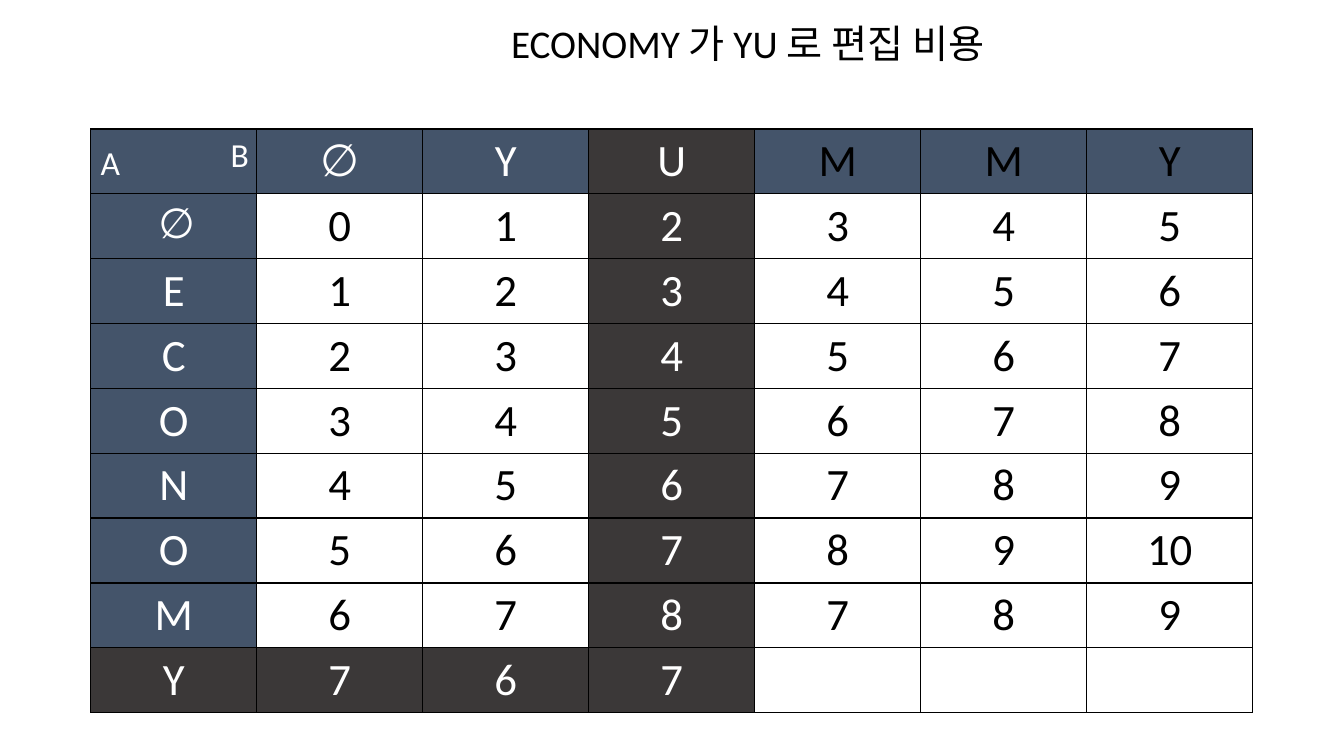
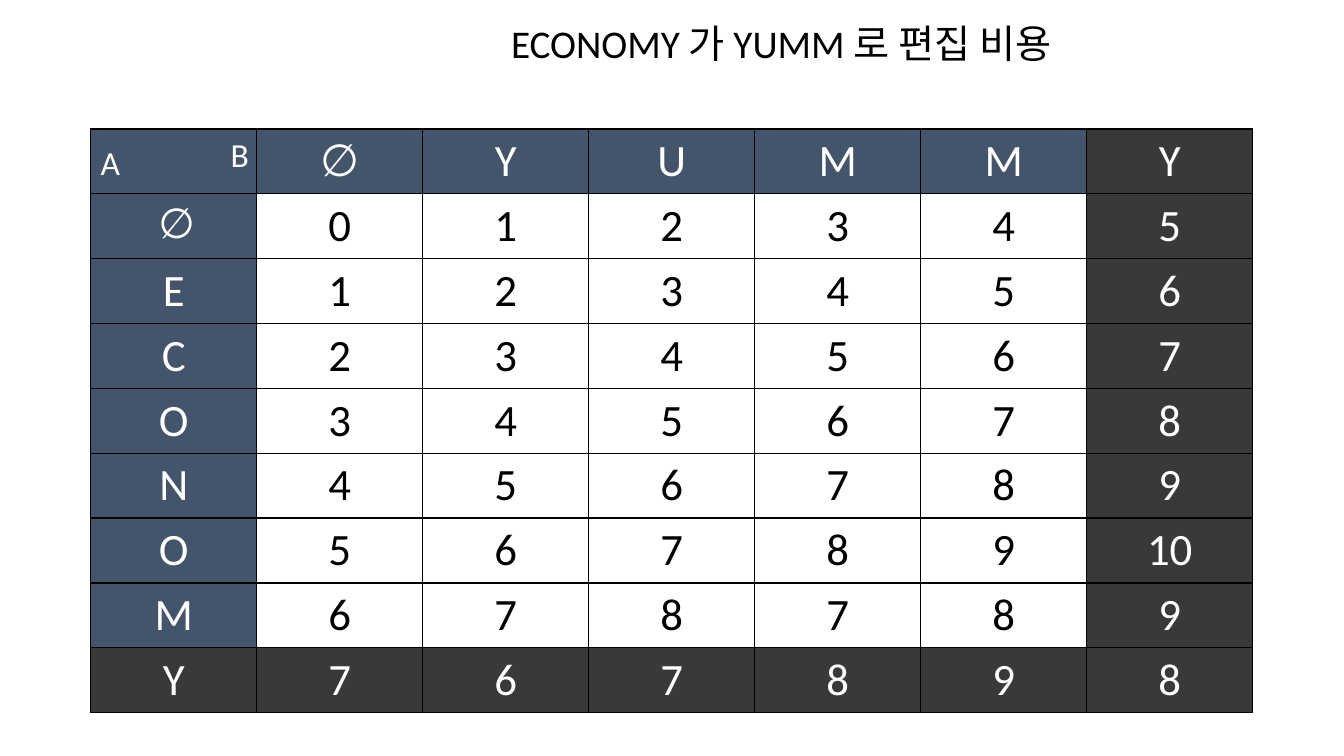
from dataclasses import dataclass

from lxml.etree import SubElement
from pptx import Presentation
from pptx.dml.color import RGBColor
from pptx.enum.text import MSO_ANCHOR as Anchor, MSO_AUTO_SIZE as AutoSize, PP_ALIGN as Align
from pptx.oxml.ns import qn
from pptx.util import Pt

COLOURS = {"header": "44546A", "path": "3B3838", "cell": "FFFFFF",
           "light": "FFFFFF", "dark": "000000", "border": "000000"}
FONT = "Calibri"
EMPTY = "∅"
SOURCE, TARGET = "ECONOMY", "YUMMY"
TABLE_LEFT, TABLE_TOP = 64.8, 92.16
COLUMN_WIDTH, ROW_HEIGHT = 118.6, 46.32
TITLE_LEFT, TITLE_TOP, TITLE_HEIGHT = 357.84, 10.08, 41.04


@dataclass(frozen=True)
class CostPage:
    title: str
    title_width: float
    current_column: int


@dataclass(frozen=True)
class AxisLabel:
    text: str
    left: float
    top: float
    width: float


PAGES = [
    CostPage("ECONOMY 가 YU 로 편집 비용", 370.08, 3),
    CostPage("ECONOMY 가 YUMM 로 편집 비용", 418.32, 6),
]
AXIS_LABELS = [
    AxisLabel("A", 64.8, 97.92, 28.8),
    AxisLabel("B", 157.68, 92.16, 27.36),
]


def edit_costs(source: str, target: str) -> list[list[int]]:
    """Insertions and deletions cost 1; a matching letter costs nothing."""
    costs = [list(range(len(target) + 1))]
    for letter in source:
        above = costs[-1]
        row = [above[0] + 1]
        for index, other in enumerate(target):
            row.append(above[index] if letter == other
                       else min(above[index + 1], row[index]) + 1)
        costs.append(row)
    return costs


def add_span(para, text: str, size: float, colour: str) -> None:
    span = para.add_run()
    span.text = text
    span.font.name = FONT
    span.font.size = Pt(size)
    span.font.color.rgb = RGBColor.from_string(COLOURS[colour])


def set_borders(cell) -> None:
    properties = cell._tc.get_or_add_tcPr()
    for position, side in enumerate(("lnL", "lnR", "lnT", "lnB")):
        line = SubElement(properties, qn(f"a:{side}"), w=str(Pt(1)))
        fill = SubElement(line, qn("a:solidFill"))
        SubElement(fill, qn("a:srgbClr"), val=COLOURS["border"])
        properties.insert(position, line)


def fill_cell(cell, text: str, size: float, fill: str, colour: str) -> None:
    set_borders(cell)
    cell.fill.solid()
    cell.fill.fore_color.rgb = RGBColor.from_string(COLOURS[fill])
    if text:
        para = cell.text_frame.paragraphs[0]
        para.alignment = Align.CENTER
        if size < 32:
            add_span(para, " ", 18, colour)
        add_span(para, text, size, colour)


def add_cost_table(page, current: int) -> None:
    """Show the costs, with the path down the current column and along the last row."""
    costs = edit_costs(SOURCE, TARGET)
    grid = [["", EMPTY, *TARGET]]
    grid += [[letter, *map(str, row)] for letter, row in zip(EMPTY + SOURCE, costs)]
    last_row = len(grid) - 1
    columns = len(grid[0])
    table = page.shapes.add_table(
        len(grid), columns, Pt(TABLE_LEFT), Pt(TABLE_TOP),
        Pt(COLUMN_WIDTH * columns), Pt(ROW_HEIGHT * len(grid))).table
    table.first_row = table.horz_banding = False
    for column in table.columns:
        column.width = Pt(COLUMN_WIDTH)
    for row in table.rows:
        row.height = Pt(ROW_HEIGHT)

    for r, texts in enumerate(grid):
        for c, text in enumerate(texts):
            is_pending = c > current
            if c == current or (r == last_row and not is_pending):
                fill, colour = "path", "light"
            elif r == 0 or c == 0:
                fill, colour = "header", "dark" if is_pending else "light"
            else:
                fill, colour = "cell", "dark"
            if r == last_row and is_pending:
                text = ""
            size = 30 if (r, c) == (1, 0) else 32
            fill_cell(table.cell(r, c), text, size, fill, colour)


def add_axis_label(page, label: AxisLabel) -> None:
    box = page.shapes.add_textbox(Pt(label.left), Pt(label.top), Pt(label.width), Pt(36))
    box.text_frame.word_wrap = False
    box.text_frame.auto_size = AutoSize.SHAPE_TO_FIT_TEXT
    add_span(box.text_frame.paragraphs[0], label.text, 24, "light")


def set_title(page, content: CostPage) -> None:
    box = page.shapes.title
    box.left, box.top = Pt(TITLE_LEFT), Pt(TITLE_TOP)
    box.width, box.height = Pt(content.title_width), Pt(TITLE_HEIGHT)
    frame = box.text_frame
    frame.word_wrap = True
    frame.auto_size = AutoSize.SHAPE_TO_FIT_TEXT
    frame.vertical_anchor = Anchor.TOP
    para = frame.paragraphs[0]
    para.alignment = Align.LEFT
    add_span(para, content.title, 28, "dark")


def main() -> None:
    deck = Presentation()
    deck.slide_width, deck.slide_height = Pt(960), Pt(540)
    title_only = deck.slide_layouts[5]
    for content in PAGES:
        page = deck.slides.add_slide(title_only)
        set_title(page, content)
        add_cost_table(page, content.current_column)
        for label in AXIS_LABELS:
            add_axis_label(page, label)
    deck.save("out.pptx")


if __name__ == "__main__":
    main()
